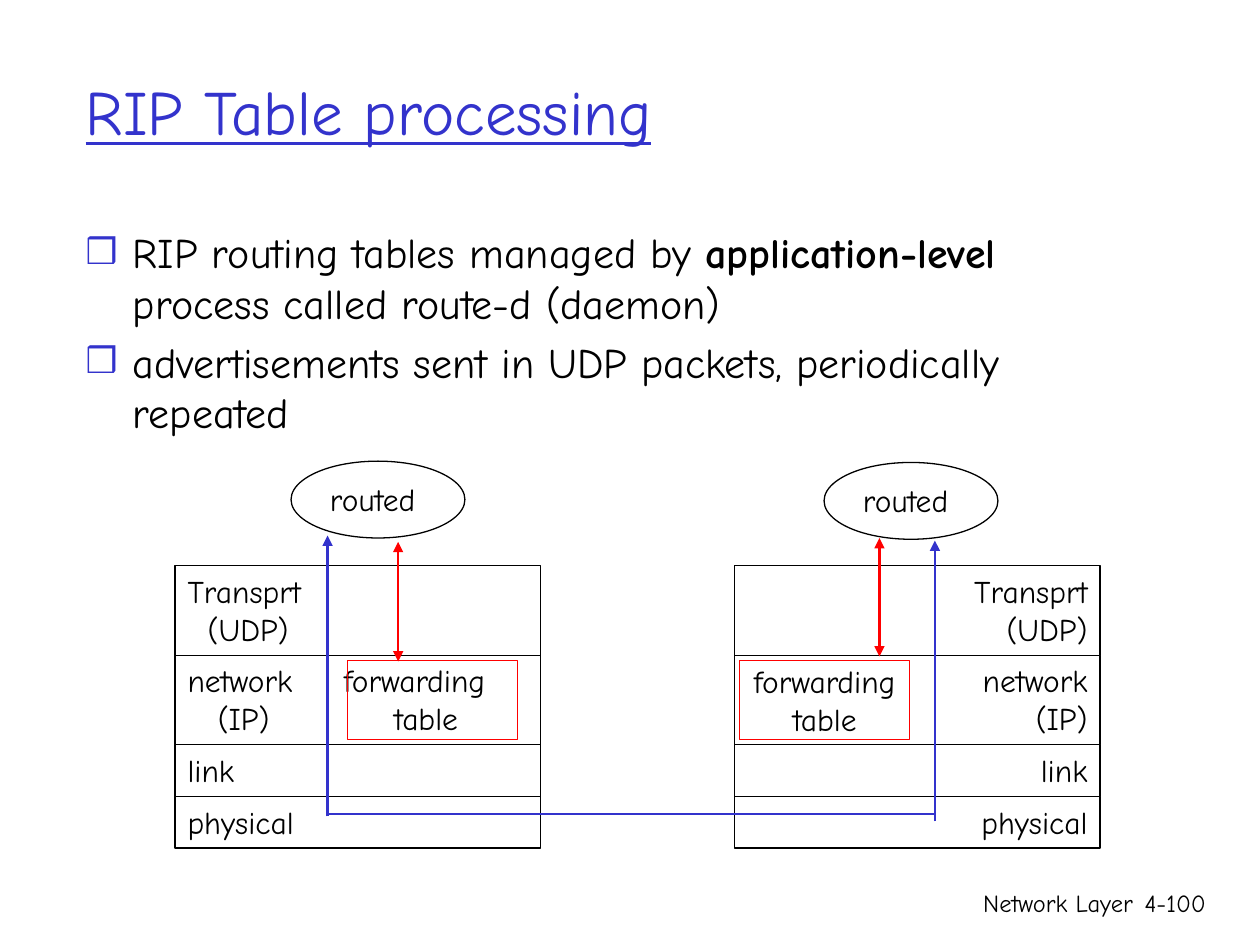
import pptx
import pptx.dml.color
import pptx.enum.shapes
import pptx.enum.text
import pptx.oxml.ns
import pptx.util
from lxml import etree

Inches = pptx.util.Inches
Pt = pptx.util.Pt
RGBColor = pptx.dml.color.RGBColor
SHAPE = pptx.enum.shapes.MSO_SHAPE
ALIGN = pptx.enum.text.PP_ALIGN
ANCHOR = pptx.enum.text.MSO_ANCHOR
AUTO_SIZE = pptx.enum.text.MSO_AUTO_SIZE
qn = pptx.oxml.ns.qn

FONT = "Comic Neue"
BLACK = RGBColor(0x00, 0x00, 0x00)
BLUE = RGBColor(0x33, 0x33, 0xCC)
RED = RGBColor(0xFF, 0x00, 0x00)

STACK_TOP = 4.49
STACK_WIDTH = 2.9
ROW_HEIGHTS = [0.71, 0.71, 0.41, 0.41]

# Each row is a list of lines: (text, tab stops in inches)
LEFT_ROWS = [
    [("Transprt", []), ("\t(UDP)", [0.16])],
    [("network\tforwarding", [1.24]), ("\t(IP)\ttable", [0.24, 1.64])],
    [("link", [])],
    [("physical", [])],
]
RIGHT_ROWS = [
    [("Transprt", []), ("(UDP)", [])],
    [("network", []), ("(IP)", [])],
    [("link", [])],
    [("physical", [])],
]


def place(sp, left, top, width, height):
    sp.left, sp.top = Inches(left), Inches(top)
    sp.width, sp.height = Inches(width), Inches(height)


def add_run(p, text, size, color=BLACK, bold=None):
    r = p.add_run()
    r.text = text
    r.font.name = FONT
    r.font.size = Pt(size)
    r.font.color.rgb = color
    r.font.bold = bold
    return r


def set_tabs(p, stops):
    if stops:
        tabs = etree.SubElement(p._p.get_or_add_pPr(), qn("a:tabLst"))
        for stop in stops:
            etree.SubElement(tabs, qn("a:tab"), pos=str(Inches(stop)), algn="l")


def write_lines(tf, lines, align):
    for i, (text, stops) in enumerate(lines):
        p = tf.add_paragraph() if i else tf.paragraphs[0]
        p.alignment = align
        set_tabs(p, stops)
        add_run(p, text, 18)


def add_outline(shapes, kind, left, top, width, height, color=BLACK):
    sp = shapes.add_shape(kind, Inches(left), Inches(top), Inches(width), Inches(height))
    sp.shadow.inherit = False
    sp.fill.background()
    sp.line.color.rgb = color
    sp.line.width = Pt(0.75)
    return sp


def add_label(shapes, text, left, top, width, height, size, align=ALIGN.LEFT, wrap=True):
    tb = shapes.add_textbox(Inches(left), Inches(top), Inches(width), Inches(height))
    tf = tb.text_frame
    tf.word_wrap = wrap
    p = tf.paragraphs[0]
    p.alignment = align
    add_run(p, text, size)
    return tb


def add_line(shapes, start, end, color, heads=()):
    """heads names the ends with an arrowhead: headEnd is the start, tailEnd the end."""
    cx = shapes.add_connector(pptx.enum.shapes.MSO_CONNECTOR.STRAIGHT,
                              *(Inches(v) for v in start + end))
    cx.line.color.rgb = color
    cx.line.width = Pt(1.5)
    for head in heads:
        etree.SubElement(cx.line._get_or_add_ln(), qn("a:" + head), type="triangle")
    etree.SubElement(cx._element.spPr, qn("a:effectLst"))


def add_stack(shapes, left, rows, align):
    top = STACK_TOP
    for lines, height in zip(rows, ROW_HEIGHTS):
        sp = add_outline(shapes, SHAPE.RECTANGLE, left, top, STACK_WIDTH, height)
        tf = sp.text_frame
        tf.word_wrap = True
        tf.auto_size = AUTO_SIZE.SHAPE_TO_FIT_TEXT
        tf.vertical_anchor = ANCHOR.TOP
        write_lines(tf, lines, align)
        top += height


def add_process(shapes, left, top):
    group = shapes.add_group_shape()
    add_outline(group.shapes, SHAPE.OVAL, left, top, 1.38, 0.61)
    label = add_label(group.shapes, "routed", left + 0.21, top + 0.1, 0.99, 0.4, 18, wrap=False)
    label.text_frame.auto_size = AUTO_SIZE.SHAPE_TO_FIT_TEXT


def add_forwarding_box(shapes, left):
    return add_outline(shapes, SHAPE.RECTANGLE, left, 5.24, 1.35, 0.63, RED)


def set_bullet(p):
    pPr = p._p.get_or_add_pPr()
    color = etree.SubElement(pPr, qn("a:buClr"))
    etree.SubElement(color, qn("a:srgbClr"), val=str(BLUE))
    etree.SubElement(pPr, qn("a:buSzPct"), val="85000")
    etree.SubElement(pPr, qn("a:buChar"), char="❒")


def fill_title(title):
    place(title, 0.58, 0.25, 8.5, 1.25)
    tf = title.text_frame
    tf.auto_size = AUTO_SIZE.NONE
    tf.vertical_anchor = ANCHOR.MIDDLE
    p = tf.paragraphs[0]
    p.alignment = ALIGN.LEFT
    add_run(p, "RIP Table processing", 36, BLUE).font.underline = True


def fill_body(body):
    place(body, 0.58, 1.75, 8.5, 5.08)
    tf = body.text_frame
    tf.auto_size = AUTO_SIZE.NONE
    p = tf.paragraphs[0]
    set_bullet(p)
    add_run(p, "RIP routing tables managed by ", 24)
    add_run(p, "application-level", 24, bold=True)
    add_run(p, " process called route-d (daemon)", 24)
    p = tf.add_paragraph()
    set_bullet(p)
    add_run(p, "advertisements sent in UDP packets, periodically repeated", 24)


def main():
    prs = pptx.Presentation()
    prs.slide_width, prs.slide_height = Inches(10), Inches(7.5)
    s = prs.slides.add_slide(prs.slide_layouts[1])
    shapes = s.shapes
    fill_title(shapes.title)
    fill_body(s.placeholders[1])
    add_label(shapes, "Network Layer", 5.92, 7, 3.17, 0.5, 14, ALIGN.RIGHT)
    add_label(shapes, "4-100", 8.93, 7, 0.74, 0.5, 14, ALIGN.RIGHT)

    add_stack(shapes, 1.39, LEFT_ROWS, ALIGN.LEFT)
    add_forwarding_box(shapes, 2.76)
    add_process(shapes, 2.31, 3.66)

    add_stack(shapes, 5.83, RIGHT_ROWS, ALIGN.RIGHT)
    tf = add_forwarding_box(shapes, 5.87).text_frame
    tf.word_wrap = False
    tf.vertical_anchor = ANCHOR.MIDDLE
    write_lines(tf, [("forwarding", []), ("table", [])], ALIGN.CENTER)
    add_process(shapes, 6.54, 3.67)

    add_line(shapes, (2.6, 6.48), (2.6, 4.25), BLUE, ["tailEnd"])
    add_line(shapes, (7.42, 6.52), (7.42, 4.29), BLUE, ["tailEnd"])
    add_line(shapes, (2.6, 6.46), (7.43, 6.46), BLUE)
    add_line(shapes, (3.16, 4.3), (3.16, 5.25), RED, ["headEnd", "tailEnd"])
    add_line(shapes, (6.98, 4.27), (6.98, 5.21), RED, ["headEnd", "tailEnd"])
    prs.save("out.pptx")


if __name__ == "__main__":
    main()
